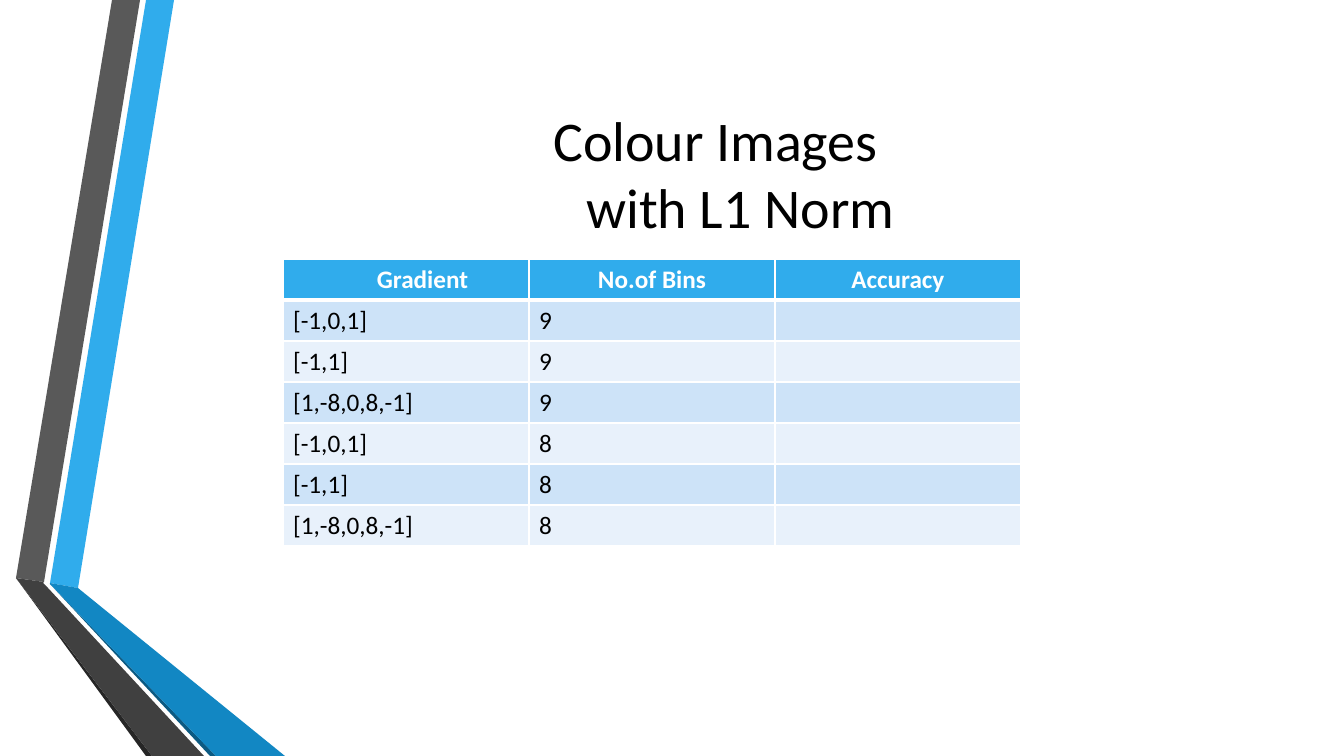
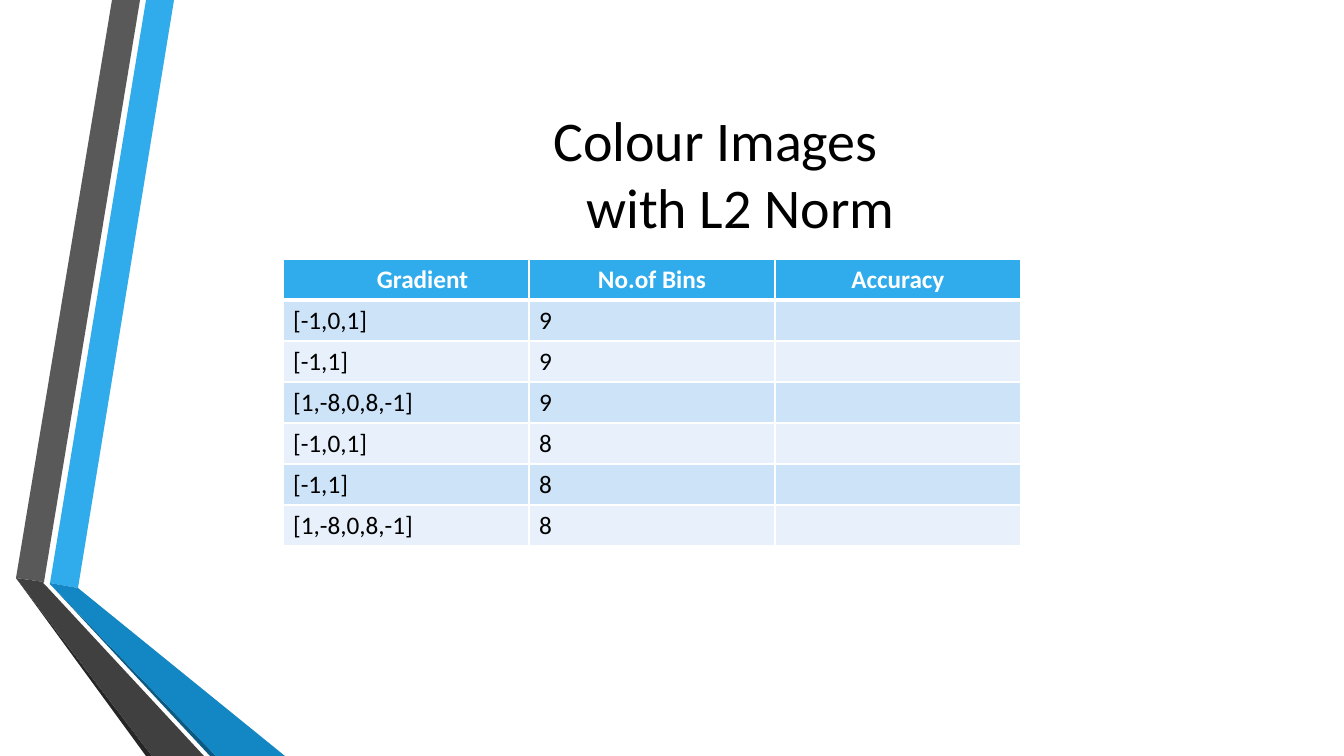
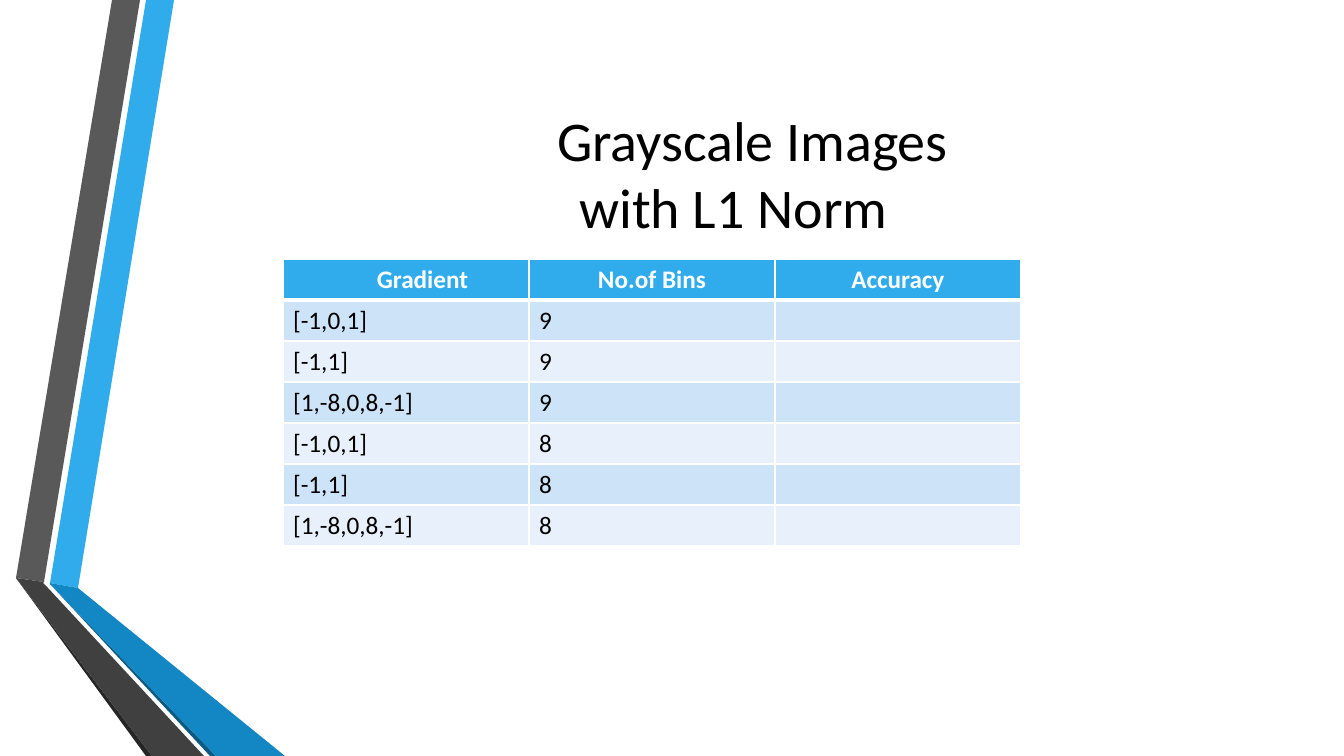
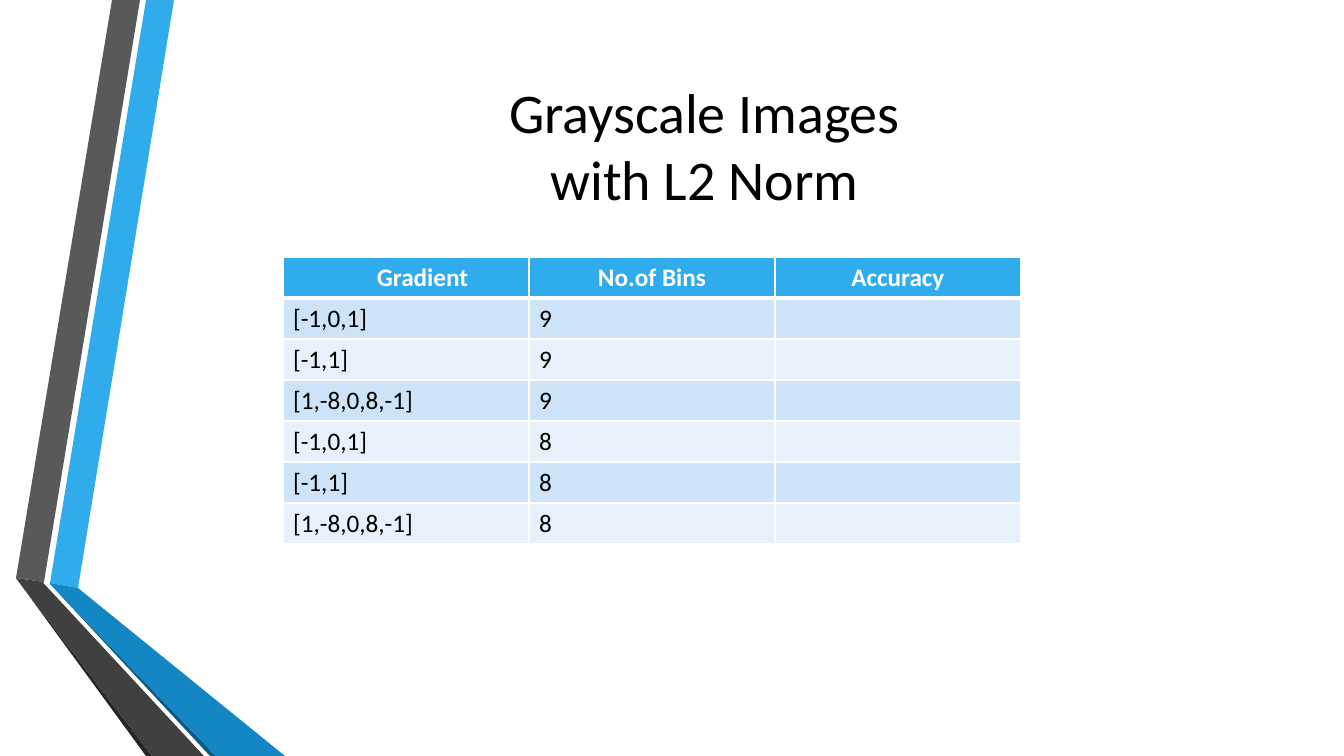
from itertools import product
from lxml import etree
from pptx import Presentation
from pptx.dml.color import RGBColor
from pptx.enum.text import MSO_ANCHOR, PP_ALIGN
from pptx.oxml.ns import qn
from pptx.util import Pt

CENTER, LEFT, MIDDLE = PP_ALIGN.CENTER, PP_ALIGN.LEFT, MSO_ANCHOR.MIDDLE
SCALE = 914400 / 100.8
FONT = "Calibri"
COLORS = {
    "black": "000000", "white": "FFFFFF",
    "blue": "30ACEC", "blue_dark": "1287C3", "blue_edge": "0C5A82",
    "gray": "595959", "gray_dark": "404040", "gray_edge": "262626",
    "row_odd": "CDE3F8", "row_even": "E8F1FB",
}

# Folded ribbons at the left edge, from back to front
RIBBONS = [
    ("blue", [(50, 583), (78, 588), (174, 0), (146, 0)]),
    ("gray", [(140, 0), (112, 0), (16, 578), (44, 582)]),
    ("gray_edge", [(16, 578), (146, 756), (152, 756)]),
    ("blue_edge", [(50, 584), (210, 756), (216, 756)]),
    ("blue_dark", [(50, 584), (216, 756), (285, 756), (78, 588), (50, 583)]),
    ("gray_dark", [(204, 756), (48, 588), (43, 583), (44, 582), (16, 578), (152, 756)]),
]

# Title lines with their left indents, title position, table top
SLIDES = [
    ([("Colour Images", 0), ("with L1 Norm", 50)], (163, 76), 259),
    ([("Colour Images", 0), ("with L2 Norm", 50)], (163, 76), 259),
    ([("Grayscale Images", 74), ("with L1 Norm", 36)], (163, 76), 259),
    ([("Grayscale Images", 0), ("with L2 Norm", 0)], (152, 48), 257),
]
TITLE_W, TITLE_H = 1105, 193

HEADER = ["Gradient", "No.of Bins", "Accuracy"]
HEADER_INDENTS = [33, 0, 0]
GRADIENTS = ["[-1,0,1]", "[-1,1]", "[1,-8,0,8,-1]"]
ROWS = [HEADER] + [[g, b, ""] for b, g in product(["9", "8"], GRADIENTS)]
TABLE_X, COL_W, ROW_H = 283, 246, 41


def px(n):
    return round(n * SCALE)


def write(tf, text, size=18, color="black", bold=False, align=LEFT, indent=0, new=False):
    p = tf.add_paragraph() if new else tf.paragraphs[0]
    p.alignment = align
    if indent:
        p._p.get_or_add_pPr().set("marL", str(px(indent)))
    r = p.add_run()
    r.text = text
    r.font.name, r.font.size, r.font.bold = FONT, Pt(size), bold
    r.font.color.rgb = RGBColor.from_string(COLORS[color])


prs = Presentation()
prs.slide_width, prs.slide_height = px(1344), px(756)

for title, (x, y), table_y in SLIDES:
    s = prs.slides.add_slide(prs.slide_layouts[6])

    # Ribbons
    for color, points in RIBBONS:
        fb = s.shapes.build_freeform(*points[0], scale=SCALE)
        fb.add_line_segments(points[1:], close=True)
        sp = fb.convert_to_shape()
        sp.shadow.inherit = False
        sp.fill.solid()
        sp.fill.fore_color.rgb = RGBColor.from_string(COLORS[color])
        sp.line.fill.background()

    # Title
    tf = s.shapes.add_textbox(px(x), px(y), px(TITLE_W), px(TITLE_H)).text_frame
    tf.word_wrap = True
    tf.vertical_anchor = MIDDLE
    for i, (text, indent) in enumerate(title):
        write(tf, text, size=40, align=CENTER, indent=indent, new=i > 0)

    # Results table
    table = s.shapes.add_table(len(ROWS), len(HEADER), px(TABLE_X), px(table_y),
                               px(COL_W * len(HEADER)), px(ROW_H * len(ROWS))).table
    for col in table.columns:
        col.width = px(COL_W)
    for i, row in enumerate(ROWS):
        table.rows[i].height = px(ROW_H)
        fill = "blue" if i == 0 else "row_odd" if i % 2 else "row_even"
        for j, text in enumerate(row):
            cell = table.cell(i, j)
            cell.fill.solid()
            cell.fill.fore_color.rgb = RGBColor.from_string(COLORS[fill])
            if i == 0:
                write(cell.text_frame, text, color="white", bold=True,
                      align=CENTER, indent=HEADER_INDENTS[j])
            elif text:
                write(cell.text_frame, text)

            # White cell borders, thick below the header
            tcPr = cell._tc.get_or_add_tcPr()
            for k, side in enumerate(["lnL", "lnR", "lnT", "lnB"]):
                thick = (i, side) in [(0, "lnB"), (1, "lnT")]
                ln = etree.Element(qn("a:" + side), w=str(Pt(3 if thick else 1)))
                solid = etree.SubElement(ln, qn("a:solidFill"))
                etree.SubElement(solid, qn("a:srgbClr"), val=COLORS["white"])
                tcPr.insert(k, ln)

prs.save("out.pptx")
